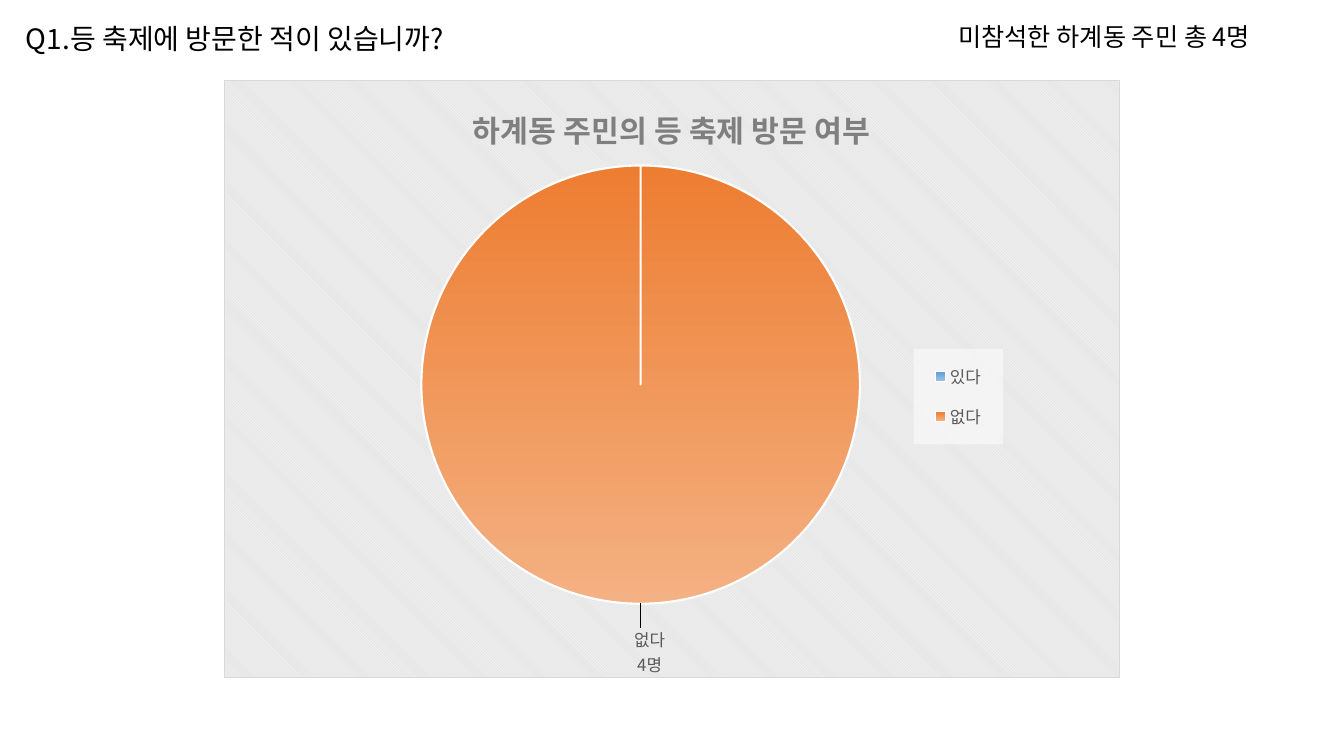
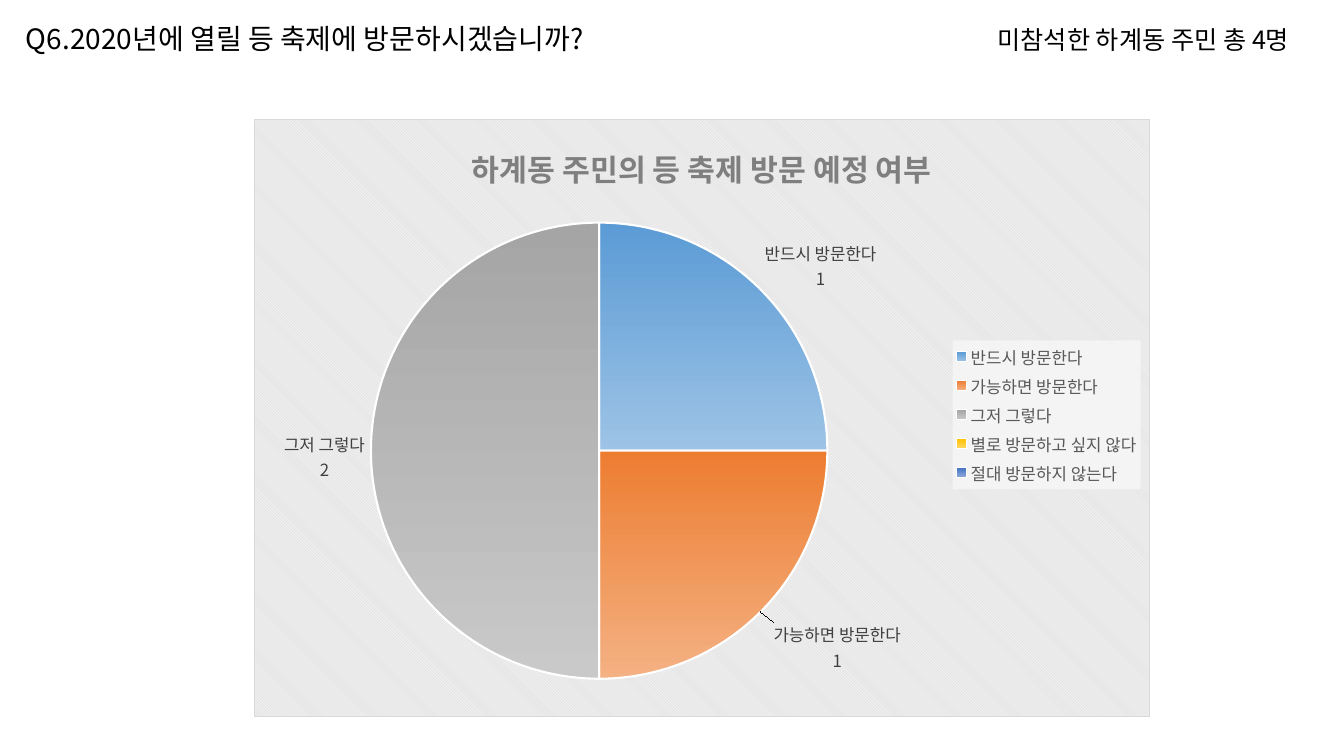
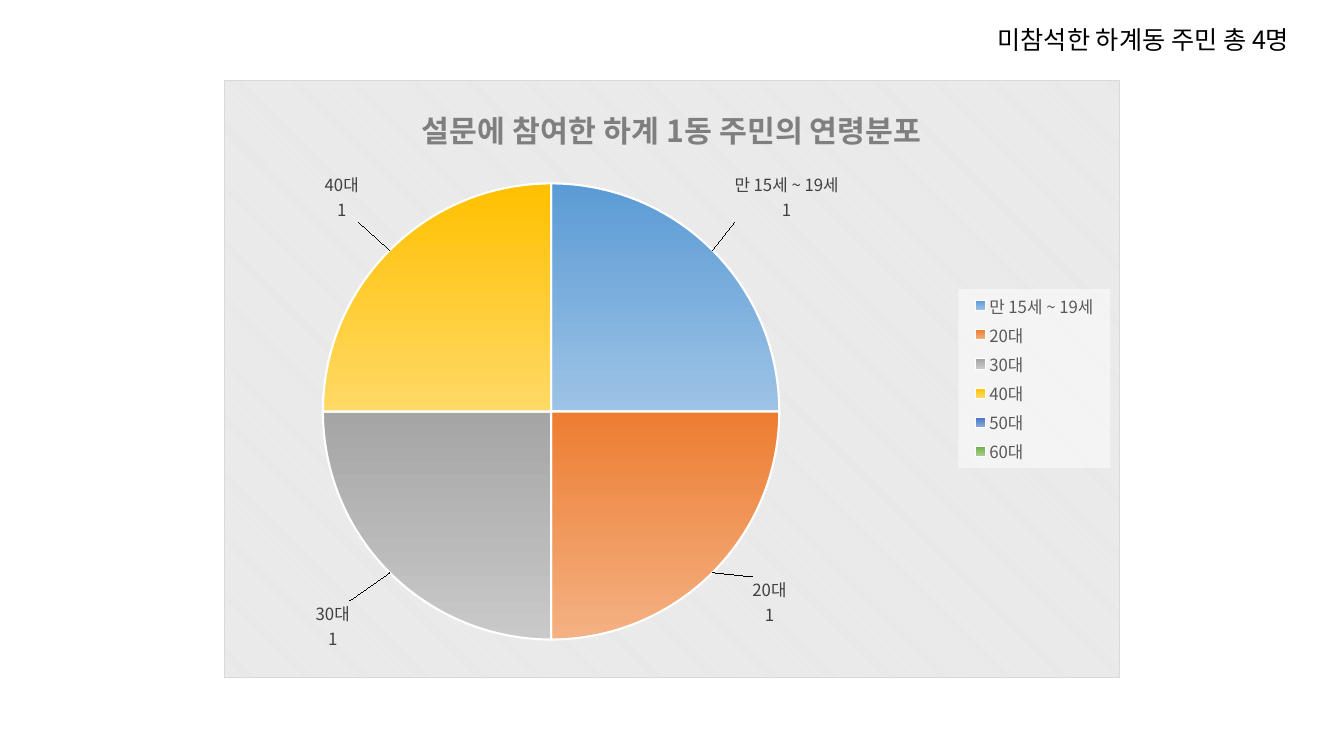
from pptx import Presentation
from pptx.chart.data import ChartData
from pptx.dml.color import RGBColor
from pptx.enum.chart import XL_CHART_TYPE, XL_LABEL_POSITION, XL_LEGEND_POSITION
from pptx.enum.text import MSO_AUTO_SIZE
from pptx.oxml import parse_xml
from pptx.oxml.ns import nsdecls
from pptx.util import Pt

FACE = "Noto Sans CJK KR"
BLACK = RGBColor(0x00, 0x00, 0x00)
WHITE = RGBColor(0xFF, 0xFF, 0xFF)
GREY = RGBColor(0x7F, 0x7F, 0x7F)
SLATE = RGBColor(0x59, 0x59, 0x59)
DARK = RGBColor(0x40, 0x40, 0x40)
EDGE = RGBColor(0xD9, 0xD9, 0xD9)
SHADE = RGBColor(0xE6, 0xE6, 0xE6)
SLICES = [
    (RGBColor(0x5B, 0x9B, 0xD5), RGBColor(0x9D, 0xC3, 0xE6)),
    (RGBColor(0xED, 0x7D, 0x31), RGBColor(0xF4, 0xB1, 0x83)),
    (RGBColor(0xA5, 0xA5, 0xA5), RGBColor(0xC9, 0xC9, 0xC9)),
    (RGBColor(0xFF, 0xC0, 0x00), RGBColor(0xFF, 0xD9, 0x66)),
    (RGBColor(0x44, 0x72, 0xC4), RGBColor(0x8F, 0xAA, 0xDC)),
    (RGBColor(0x70, 0xAD, 0x47), RGBColor(0xA9, 0xD1, 0x8E)),
]
CROWD = "미참석한 하계동 주민 총 4명"


def style(font, size, tint, bold=False):
    font.color.rgb = tint
    looks = {"name": FACE, "size": Pt(size), "bold": bold}
    for key, value in looks.items():
        setattr(font, key, value)


def add_east(root):
    for latin in root.xpath(".//a:latin"):
        latin.addnext(parse_xml(f'<a:ea {nsdecls("a")} typeface="{FACE}"/>'))


def add_text(slide, text, left, top, width, size):
    box = slide.shapes.add_textbox(Pt(left), Pt(top), Pt(width), Pt(size * 1.6))
    frame = box.text_frame
    frame.word_wrap = False
    frame.auto_size = MSO_AUTO_SIZE.SHAPE_TO_FIT_TEXT
    run = frame.paragraphs[0].add_run()
    run.text = text
    style(run.font, size, BLACK)
    add_east(frame.paragraphs[0]._p)


def make_place(values, modes=""):
    parts = "".join(f'<c:{key} val="{value}"/>' for key, value in zip("xywh", values))
    return parse_xml(
        f'<c:layout {nsdecls("c")}><c:manualLayout>{modes}{parts}</c:manualLayout></c:layout>'
    )


def set_place(root, parent, after, values):
    inner = '<c:layoutTarget val="inner"/>' if parent == "plotArea" else ""
    node = root.xpath(f".//c:{parent}")[0]
    for old in node.xpath("c:layout"):
        node.remove(old)
    place = make_place(values, inner + '<c:xMode val="edge"/><c:yMode val="edge"/>')
    if after:
        node.xpath(f"c:{after}")[0].addnext(place)
    else:
        node.insert(0, place)


def paint_back(root):
    root.xpath("c:chart")[0].addnext(parse_xml(
        f'<c:spPr {nsdecls("c", "a")}><a:pattFill prst="dkDnDiag">'
        f'<a:fgClr><a:srgbClr val="{WHITE}"/></a:fgClr>'
        f'<a:bgClr><a:srgbClr val="{SHADE}"/></a:bgClr></a:pattFill>'
        f'<a:ln w="{Pt(0.75)}"><a:solidFill><a:srgbClr val="{EDGE}"/></a:solidFill></a:ln></c:spPr>'
    ))
    root.xpath(".//c:legend/c:overlay")[0].addnext(parse_xml(
        f'<c:spPr {nsdecls("c", "a")}><a:solidFill><a:srgbClr val="{WHITE}">'
        '<a:alpha val="50000"/></a:srgbClr></a:solidFill></c:spPr>'
    ))


def paint_slice(point, pair):
    fill = point.format.fill
    fill.gradient()
    fill.gradient_angle = 270
    for stop, tint, spot in zip(fill.gradient_stops, pair, (0, 1)):
        stop.color.rgb = tint
        stop.position = spot
    point.format.line.color.rgb = WHITE
    point.format.line.width = Pt(1.5)


def add_labels(chart, shifts, words):
    series = chart.plots[0].series[0]
    labels = series.data_labels
    labels.show_value = labels.show_category_name = not words
    style(labels.font, 12, DARK)
    for index in shifts:
        label = series.points[index].data_label
        if words:
            label.text_frame.text = words
            for para in label.text_frame.paragraphs:
                style(para.runs[0].font, 12, SLATE)
        else:
            style(label.font, 12, DARK)
        label.position = XL_LABEL_POSITION.BEST_FIT
    root = chart.element
    for node, shift in zip(root.xpath(".//c:dLbl"), shifts.values()):
        node.xpath("c:idx")[0].addnext(make_place(shift))
        node.xpath("c:showCatName")[0].set("val", "1")
    for last in root.xpath(".//c:showBubbleSize"):
        last.addnext(parse_xml(f'<c:separator {nsdecls("c")}>\n</c:separator>'))


def add_pie(slide, left, top, title, names, values, plot, key, shifts, words=""):
    data = ChartData()
    data.categories = names
    data.add_series("Series 1", values)
    chart = slide.shapes.add_chart(
        XL_CHART_TYPE.PIE, Pt(left), Pt(top), Pt(640), Pt(427), data
    ).chart
    style(chart.font, 10, BLACK)
    chart.has_title = True
    head = chart.chart_title.text_frame
    head.text = title
    style(head.paragraphs[0].runs[0].font, 21.6, GREY, True)
    chart.has_legend = True
    chart.legend.position = XL_LEGEND_POSITION.RIGHT
    chart.legend.include_in_layout = False
    style(chart.legend.font, 12, SLATE)
    pie = chart.plots[0]
    pie.vary_by_categories = True
    for index in range(len(names)):
        paint_slice(pie.series[0].points[index], SLICES[index])
    add_labels(chart, shifts, words)
    root = chart.element
    set_place(root, "plotArea", "", plot)
    set_place(root, "legend", "legendPos", key)
    paint_back(root)
    add_east(root)


def main():
    deck = Presentation()
    deck.slide_width, deck.slide_height = Pt(960), Pt(540)
    visit, plan, ages = [deck.slides.add_slide(deck.slide_layouts[6]) for _ in range(3)]

    add_pie(
        visit, 160, 57, "하계동 주민의 등 축제 방문 여부",
        ["있다", "없다"], [0, 100],
        (0.22, 0.14, 0.49, 0.74), (0.77, 0.45, 0.1, 0.16),
        {1: (0.01, 0.03)}, "없다\n4명",
    )
    add_text(visit, "Q1.등 축제에 방문한 적이 있습니까?", 11.5, 12, 346, 20)
    add_text(visit, CROWD, 677.5, 12, 250, 18)

    add_pie(
        plan, 181.5, 85, "하계동 주민의 등 축제 방문 예정 여부",
        ["반드시 방문한다", "가능하면 방문한다", "그저 그렇다",
         "별로 방문하고 싶지 않다", "절대 방문하지 않는다"],
        [1, 1, 2, None, None],
        (0.13, 0.17, 0.51, 0.77), (0.78, 0.37, 0.21, 0.25),
        {0: (0, 0.01), 1: (0.01, 0.01), 2: (0, 0.01)},
    )
    add_text(plan, "Q6.2020년에 열릴 등 축제에 방문하시겠습니까?", 11.5, 12, 451, 20)
    add_text(plan, CROWD, 705.5, 14, 250, 18)

    add_pie(
        ages, 160, 57, "설문에 참여한 하계 1동 주민의 연령분포",
        ["만 15세 ~ 19세", "20대", "30대", "40대", "50대", "60대"],
        [1, 1, 1, 1, None, None],
        (0.11, 0.17, 0.51, 0.77), (0.82, 0.35, 0.17, 0.3),
        {0: (0.02, -0.04), 1: (0.04, 0), 2: (-0.04, 0.04), 3: (-0.03, -0.04)},
    )
    add_text(ages, CROWD, 705.5, 14, 250, 18)

    deck.save("out.pptx")


if __name__ == "__main__":
    main()
